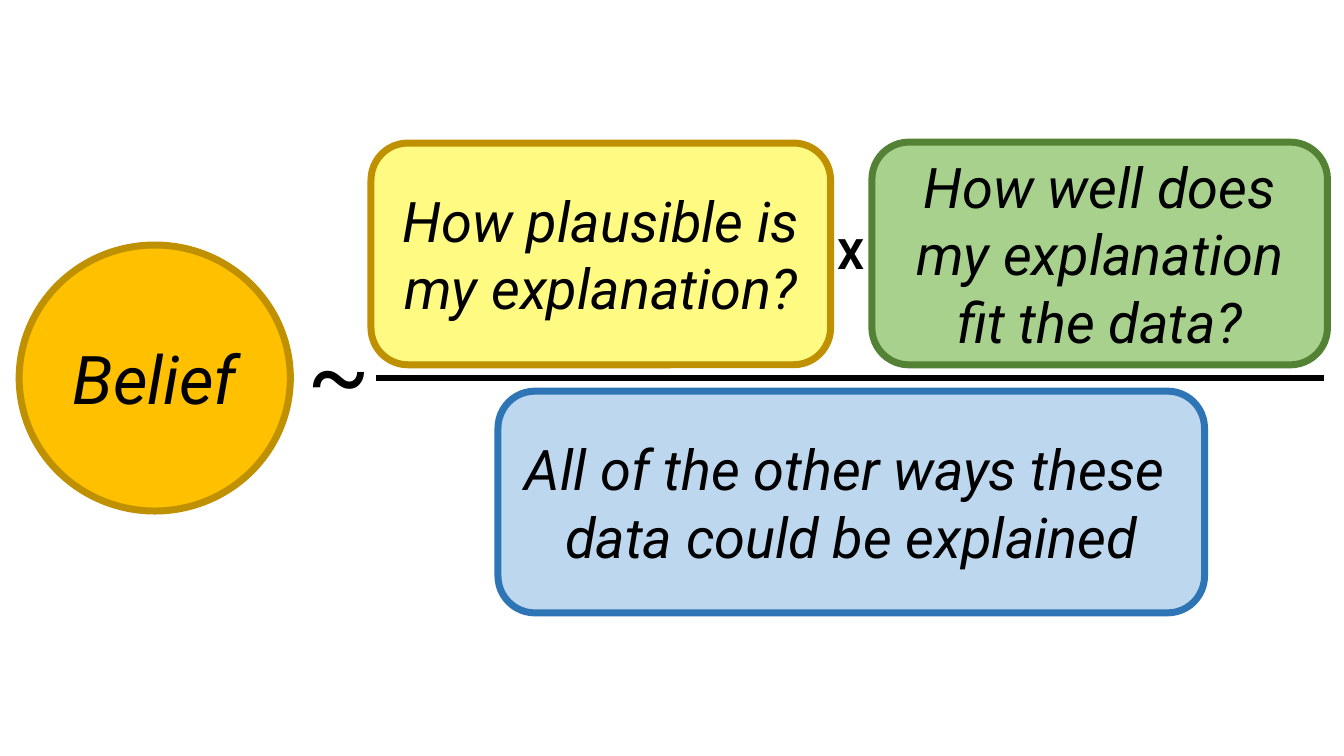
import pptx
import pptx.util
import pptx.dml.color
import pptx.enum.shapes
import pptx.enum.text
import pptx.oxml
import pptx.oxml.ns
from dataclasses import dataclass

Pt = pptx.util.Pt
Kind = pptx.enum.shapes.MSO_SHAPE
Align = pptx.enum.text.PP_ALIGN
Anchor = pptx.enum.text.MSO_ANCHOR


@dataclass(frozen=True)
class Theme:
    font: str = "Roboto"
    ink: str = "000000"
    orange: str = "FFC000"
    gold: str = "BF9000"
    yellow: str = "FFFB82"
    green: str = "A9D18E"
    forest: str = "548235"
    sky: str = "BDD7EE"
    blue: str = "2E75B6"
    term: float = 40
    belief: float = 48
    times: float = 30
    tilde: float = 66
    edge: float = 5
    bar: float = 4.5


@dataclass(frozen=True)
class Box:
    left: float
    top: float
    width: float
    height: float


@dataclass(frozen=True)
class Term:
    text: str
    box: Box
    kind: Kind
    fill: str
    line: str
    size: float


@dataclass(frozen=True)
class Sign:
    text: str
    box: Box
    size: float
    bold: bool
    align: Align


theme = Theme()


def color(code: str) -> pptx.dml.color.RGBColor:
    return pptx.dml.color.RGBColor.from_string(code)


def place(box: Box) -> tuple:
    return Pt(box.left), Pt(box.top), Pt(box.width), Pt(box.height)


def write(frame, text: str, size: float, align: Align,
          bold: bool = False, italic: bool = False) -> None:
    frame.text = text
    frame.word_wrap = True
    for para in frame.paragraphs:
        para.alignment = align
        for run in para.runs:
            font = run.font
            font.name = theme.font
            font.size = Pt(size)
            font.bold = bold
            font.italic = italic
            font.color.rgb = color(theme.ink)


def draw_term(slide, term: Term) -> None:
    shape = slide.shapes.add_shape(term.kind, *place(term.box))
    shape.shadow.inherit = False
    shape.fill.solid()
    shape.fill.fore_color.rgb = color(term.fill)
    shape.line.color.rgb = color(term.line)
    shape.line.width = Pt(theme.edge)
    shape.text_frame.vertical_anchor = Anchor.MIDDLE
    write(shape.text_frame, term.text, term.size, Align.CENTER, italic=True)


def draw_sign(slide, sign: Sign) -> None:
    shape = slide.shapes.add_textbox(*place(sign.box))
    write(shape.text_frame, sign.text, sign.size, sign.align, bold=sign.bold)


def draw_bar(slide, left: float, right: float, y: float) -> None:
    bar = slide.shapes.add_connector(
        pptx.enum.shapes.MSO_CONNECTOR.STRAIGHT, Pt(left), Pt(y), Pt(right), Pt(y))
    bar.line.color.rgb = color(theme.ink)
    bar.line.width = Pt(theme.bar)
    props = bar._element.spPr
    props.append(pptx.oxml.parse_xml(
        f"<a:effectLst {pptx.oxml.ns.nsdecls('a')}/>"))


# Terms of the formula
terms = [
    Term("Belief", Box(13.7, 175, 193.7, 190), Kind.OVAL,
         theme.orange, theme.gold, theme.belief),
    Term("How plausible is my explanation?", Box(265, 102.2, 328.3, 158.4),
         Kind.ROUNDED_RECTANGLE, theme.yellow, theme.gold, theme.term),
    Term("How well does my explanation fit the data?",
         Box(622.8, 101.5, 325.4, 159.1),
         Kind.ROUNDED_RECTANGLE, theme.green, theme.forest, theme.term),
    Term("All of the other ways these \ndata could be explained",
         Box(355.7, 279.4, 504.7, 158.4),
         Kind.ROUNDED_RECTANGLE, theme.sky, theme.blue, theme.term),
]

# Signs between the terms
signs = [
    Sign("~", Box(212.4, 221.8, 56.2, 86.4), theme.tilde, False, Align.LEFT),
    Sign("X", Box(579.6, 159.1, 56.2, 43.9), theme.times, True, Align.CENTER),
]

# Slide
deck = pptx.Presentation()
deck.slide_width, deck.slide_height = Pt(960), Pt(540)
slide = deck.slides.add_slide(deck.slide_layouts[6])

draw_bar(slide, 268.6, 945.4, 270)
for term in terms:
    draw_term(slide, term)
for sign in signs:
    draw_sign(slide, sign)

deck.save("out.pptx")
